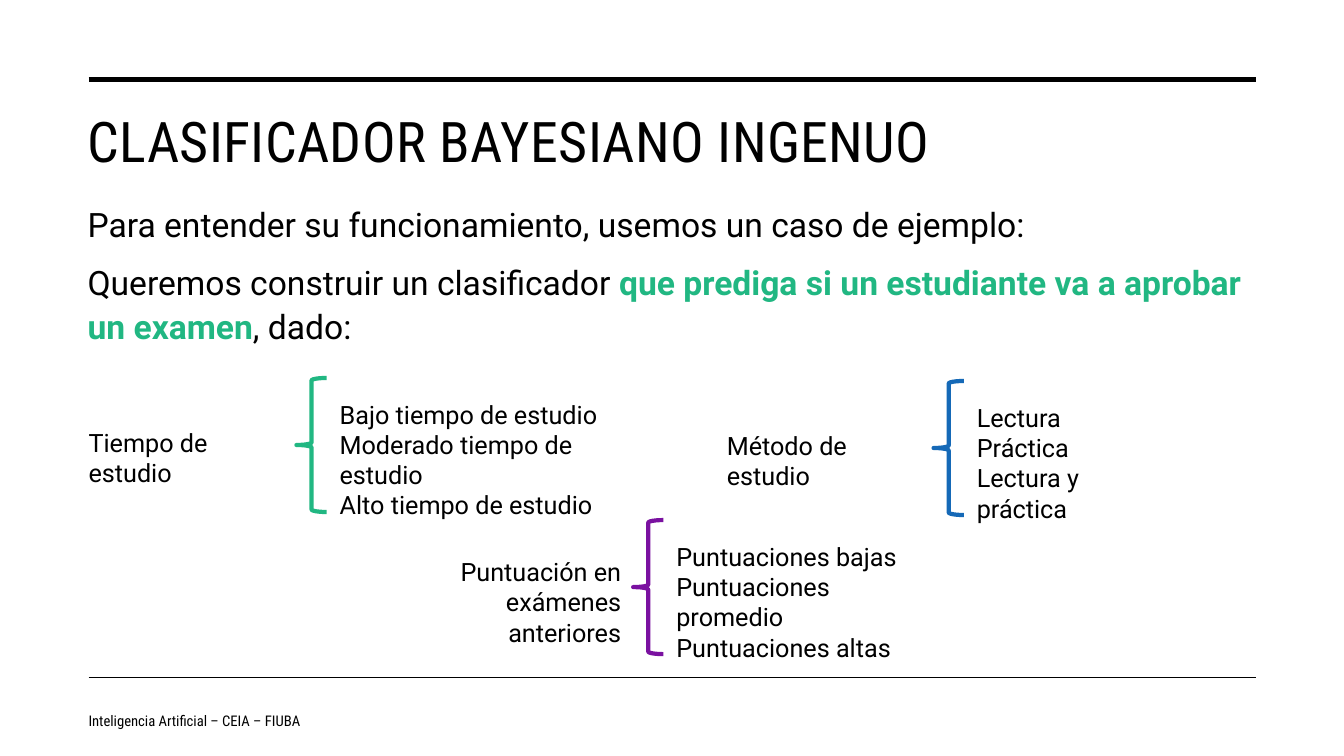
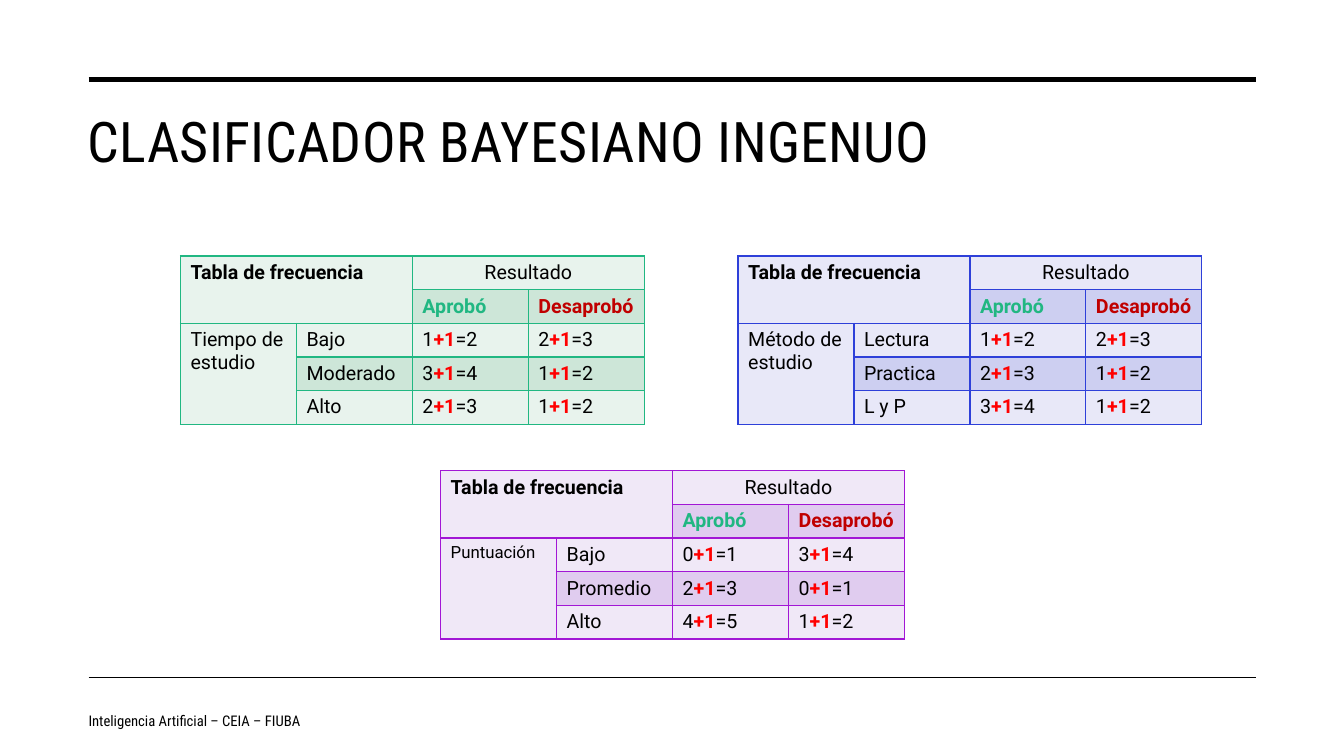
from typing import NamedTuple

from lxml.etree import SubElement
from pptx import Presentation
from pptx.dml.color import RGBColor as RGB
from pptx.enum.shapes import MSO_CONNECTOR as Link, MSO_SHAPE as Form
from pptx.enum.text import MSO_ANCHOR as Anchor, PP_ALIGN as Align
from pptx.oxml import parse_xml
from pptx.oxml.ns import nsdecls, qn
from pptx.util import Inches, Pt

BLACK = RGB(0x00, 0x00, 0x00)
GREEN = RGB(0x21, 0xB7, 0x82)
BLUE = RGB(0x15, 0x69, 0xB7)
PURPLE = RGB(0x7A, 0x11, 0xA0)
CRIMSON = RGB(0xC0, 0x00, 0x00)
RED = RGB(0xFF, 0x00, 0x00)
BODY = "Roboto"
HEAD = "Roboto Condensed"
TITLE = "CLASIFICADOR BAYESIANO INGENUO"
FOOTER = "Inteligencia Artificial – CEIA – FIUBA"
COL, ROW = 1.15, 0.33


class Part(NamedTuple):
    text: str
    color: RGB = BLACK
    bold: bool = False


class Group(NamedTuple):
    """A feature, its brace and the values it can take."""
    name: str
    items: list[str]
    color: RGB
    left: float
    top: float
    label: tuple[float, float, float]
    width: float
    align: Align = Align.LEFT


class Grid(NamedTuple):
    name: str
    left: float
    top: float
    line: RGB
    pale: RGB
    dark: RGB
    rows: list[tuple[str, int, int]]
    size: float = 14


GROUPS = [
    Group("Tiempo de estudio",
          ["Bajo tiempo de estudio", "Moderado tiempo de estudio", "Alto tiempo de estudio"],
          GREEN, 2.94, 3.75, (0.78, 4.19, 2.19), 3.25),
    Group("Método de estudio", ["Lectura", "Práctica", "Lectura y práctica"],
          BLUE, 9.26, 3.78, (7.11, 4.22, 2.19), 2.1),
    Group("Puntuación en exámenes anteriores",
          ["Puntuaciones bajas", "Puntuaciones promedio", "Puntuaciones altas"],
          PURPLE, 6.28, 5.16, (3.83, 5.47, 2.43), 2.7, Align.RIGHT),
]
GRIDS = [
    Grid("Tiempo de estudio", 1.79, 2.54, GREEN, RGB(0xE8, 0xF3, 0xED), RGB(0xCD, 0xE6, 0xD8),
         [("Bajo", 1, 2), ("Moderado", 3, 1), ("Alto", 2, 1)]),
    Grid("Método de estudio", 7.32, 2.54, RGB(0x2E, 0x40, 0xD9),
         RGB(0xE8, 0xE8, 0xF8), RGB(0xCD, 0xCF, 0xF1),
         [("Lectura", 1, 2), ("Practica", 2, 1), ("L y P", 3, 1)]),
    Grid("Puntuación", 4.37, 4.67, RGB(0xA2, 0x17, 0xD5),
         RGB(0xF0, 0xE8, 0xF7), RGB(0xE0, 0xCC, 0xEF),
         [("Bajo", 0, 3), ("Promedio", 2, 0), ("Alto", 4, 1)], 12),
]


def put(frame, *paras: list[Part], size: float = 18, font: str = BODY,
        align: Align = Align.LEFT, track: int = 0, lines: float = 1,
        gap: float = 0) -> None:
    """Fill a text frame, one paragraph for each list of parts."""
    frame.word_wrap = True
    for i, parts in enumerate(paras):
        para = frame.add_paragraph() if i else frame.paragraphs[0]
        para.alignment = align
        para.line_spacing = lines
        para.space_before = Pt(gap if i else 0)
        for part in parts:
            run = para.add_run()
            run.text = part.text
            run.font.size, run.font.name = Pt(size), font
            run.font.bold = part.bold
            run.font.color.rgb = part.color
            if track:
                run.font._element.set("spc", str(track))


def box(slide, left: float, top: float, width: float, height: float):
    return slide.shapes.add_textbox(
        Inches(left), Inches(top), Inches(width), Inches(height)).text_frame


def rule(slide, top: float, weight: float) -> None:
    line = slide.shapes.add_connector(
        Link.STRAIGHT, Inches(0.88), Inches(top), Inches(12.46), Inches(top))
    line.line.color.rgb = BLACK
    line.line.width = Pt(weight)
    SubElement(line._element.spPr, qn("a:effectLst"))


def start(deck):
    """Add a slide with the shared rules, title and footer."""
    slide = deck.slides.add_slide(deck.slide_layouts[6])
    rule(slide, 0.79, 3.5)
    rule(slide, 6.72, 1)
    put(box(slide, 0.77, 1.01, 11.69, 0.92), [Part(TITLE)], size=40, font=HEAD, track=30)
    foot = box(slide, 0.78, 6.95, 4.96, 0.4)
    foot.vertical_anchor = Anchor.MIDDLE
    put(foot, [Part(FOOTER)], size=10.5, font=HEAD)
    return slide


def brace(slide, group: Group) -> None:
    mark = slide.shapes.add_shape(
        Form.LEFT_BRACE, Inches(group.left), Inches(group.top), Inches(0.3), Inches(1.33))
    mark.shadow.inherit = False
    mark.fill.background()
    mark.line.color.rgb = group.color
    mark.line.width = Pt(3)
    left, top, width = group.label
    put(box(slide, left, top, width, 0.71), [Part(group.name)], align=group.align)
    put(box(slide, group.left + 0.33, group.top + 0.16, group.width, 1.01),
        *[[Part(item)] for item in group.items])


def edge(cell, color: RGB) -> None:
    """Draw a thin line on all four sides of a cell."""
    props = cell._tc.get_or_add_tcPr()
    for i, side in enumerate("LRTB"):
        props.insert(i, parse_xml(
            f'<a:ln{side} {nsdecls("a")} w="12700"><a:solidFill>'
            f'<a:srgbClr val="{color}"/></a:solidFill></a:ln{side}>'))


def tally(count: int) -> list[Part]:
    return [Part(str(count)), Part("+1", RED, True), Part(f"={count + 1}")]


def table(slide, grid: Grid) -> None:
    body = [[[Part("" if i else grid.name)], [Part(name)], tally(good), tally(bad)]
            for i, (name, good, bad) in enumerate(grid.rows)]
    void = [Part("")]
    cells = [
        [[Part("Tabla de frecuencia", bold=True)], void, [Part("Resultado")], void],
        [void, void, [Part("Aprobó", GREEN, True)], [Part("Desaprobó", CRIMSON, True)]],
        *body,
    ]
    tab = slide.shapes.add_table(
        len(cells), 4, Inches(grid.left), Inches(grid.top),
        Inches(4 * COL), Inches(len(cells) * ROW)).table
    tab.first_row = tab.horz_banding = False
    for r, row in enumerate(cells):
        for c, parts in enumerate(row):
            cell = tab.cell(r, c)
            cell.fill.solid()
            dark = r % 2 and c >= (2 if r == 1 else 1)
            cell.fill.fore_color.rgb = grid.dark if dark else grid.pale
            edge(cell, grid.line)
            put(cell.text_frame, parts,
                size=grid.size if r > 1 and c == 0 else 14,
                align=Align.CENTER if (r, c) == (0, 2) else Align.LEFT)
    for first, last in [((0, 0), (1, 1)), ((0, 2), (0, 3)), ((2, 0), (4, 0))]:
        tab.cell(*first).merge(tab.cell(*last))


def main() -> None:
    deck = Presentation()
    deck.slide_width, deck.slide_height = Inches(13.33), Inches(7.5)

    case = start(deck)
    put(box(case, 0.77, 1.93, 11.69, 1.7),
        [Part("Para entender su funcionamiento, usemos un caso de ejemplo:")],
        [Part("Queremos construir un clasificador "),
         Part("que prediga si un estudiante va a aprobar un examen", GREEN, True),
         Part(", dado:")],
        lines=1.1, gap=10, size=24)
    for group in GROUPS:
        brace(case, group)

    counts = start(deck)
    for grid in GRIDS:
        table(counts, grid)
    deck.save("out.pptx")


if __name__ == "__main__":
    main()
